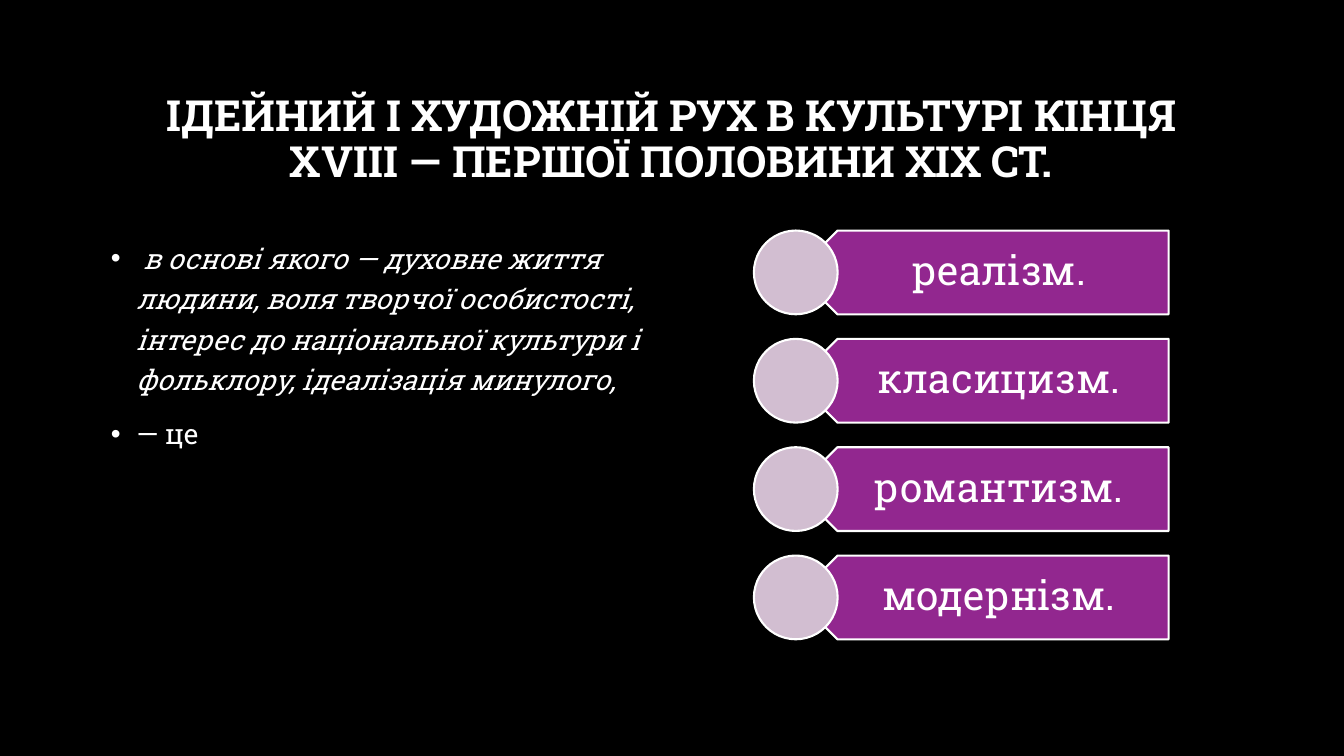
import dataclasses

import lxml.etree
import pptx
import pptx.dml.color
import pptx.enum.shapes
import pptx.enum.text
import pptx.oxml.ns
import pptx.util

Cm = pptx.util.Cm
Pt = pptx.util.Pt
RGB = pptx.dml.color.RGBColor
SHAPE = pptx.enum.shapes.MSO_SHAPE
ANCHOR = pptx.enum.text.MSO_ANCHOR
ALIGN = pptx.enum.text.PP_ALIGN


@dataclasses.dataclass(frozen=True)
class Theme:
    font: str = "Roboto Slab"
    background: RGB = RGB(0x00, 0x00, 0x00)
    text: RGB = RGB(0xFF, 0xFF, 0xFF)
    arrow: RGB = RGB(0x92, 0x27, 0x8F)
    circle: RGB = RGB(0xD2, 0xBE, 0xD1)
    title_size: float = 30.6
    body_size: float = 20
    label_size: float = 29
    line_width: float = 1.5


@dataclasses.dataclass(frozen=True)
class Box:
    left: float
    top: float
    width: float
    height: float

    def lengths(self) -> tuple:
        return Cm(self.left), Cm(self.top), Cm(self.width), Cm(self.height)


@dataclasses.dataclass(frozen=True)
class Bullet:
    text: str
    italic: bool
    space_before: float


THEME = Theme()
TITLE = "ІДЕЙНИЙ І ХУДОЖНІЙ РУХ В КУЛЬТУРІ КІНЦЯ XVIII — ПЕРШОЇ ПОЛОВИНИ ХІХ СТ."
TITLE_BOX = Box(2.54, 1.7, 28.75, 3.68)
BODY_BOX = Box(2.54, 5.79, 14.17, 10.29)
BULLETS = [
    Bullet(
        " в основі якого — духовне життя людини, воля творчої особистості, "
        "інтерес до національної культури і фольклору, ідеалізація минулого,",
        True, 0),
    Bullet("— це", False, 10),
]
STYLES = ["реалізм.", "класицизм.", "романтизм.", "модернізм."]
ROW_TOP = 5.81
ROW_PITCH = 2.73
ROW_HEIGHT = 2.11


def add_run(p, text: str, size: float, bold: bool = False, italic: bool = False) -> None:
    r = p.add_run()
    r.text = text
    r.font.name = THEME.font
    r.font.size = Pt(size)
    r.font.bold = bold
    r.font.italic = italic
    r.font.color.rgb = THEME.text


def place(sp, box: Box) -> None:
    sp.left, sp.top, sp.width, sp.height = box.lengths()


def set_bullet(p) -> None:
    pPr = p._p.get_or_add_pPr()
    pPr.set("marL", str(Cm(0.64)))
    pPr.set("indent", str(-Cm(0.64)))
    qn = pptx.oxml.ns.qn
    lxml.etree.SubElement(pPr, qn("a:buFont")).set("typeface", "Arial")
    lxml.etree.SubElement(pPr, qn("a:buChar")).set("char", "•")


def fill_title(sp) -> None:
    place(sp, TITLE_BOX)
    tf = sp.text_frame
    tf.word_wrap = True
    tf.auto_size = pptx.enum.text.MSO_AUTO_SIZE.NONE
    tf.vertical_anchor = ANCHOR.MIDDLE
    p = tf.paragraphs[0]
    p.alignment = ALIGN.CENTER
    p.line_spacing = 0.9
    add_run(p, TITLE, THEME.title_size, bold=True)


def fill_body(sp) -> None:
    place(sp, BODY_BOX)
    tf = sp.text_frame
    tf.word_wrap = True
    tf.auto_size = pptx.enum.text.MSO_AUTO_SIZE.NONE
    tf.vertical_anchor = ANCHOR.TOP
    for i, bullet in enumerate(BULLETS):
        p = tf.add_paragraph() if i else tf.paragraphs[0]
        set_bullet(p)
        p.alignment = ALIGN.LEFT
        p.line_spacing = 1.2
        p.space_before = Pt(bullet.space_before)
        add_run(p, bullet.text, THEME.body_size, italic=bullet.italic)


def add_outlined(shapes, kind: SHAPE, box: Box, color: RGB):
    sp = shapes.add_shape(kind, *box.lengths())
    sp.shadow.inherit = False
    sp.fill.solid()
    sp.fill.fore_color.rgb = color
    sp.line.color.rgb = THEME.text
    sp.line.width = Pt(THEME.line_width)
    return sp


def add_label(shapes, text: str, box: Box) -> None:
    tf = shapes.add_textbox(*box.lengths()).text_frame
    tf.word_wrap = True
    tf.vertical_anchor = ANCHOR.MIDDLE
    tf.margin_left, tf.margin_right = Cm(0.92), Cm(0.58)
    tf.margin_top = tf.margin_bottom = Cm(0.3)
    p = tf.paragraphs[0]
    p.alignment = ALIGN.CENTER
    p.line_spacing = 0.9
    add_run(p, text, THEME.label_size)


def add_style_row(shapes, text: str, top: float) -> None:
    arrow = add_outlined(shapes, SHAPE.PENTAGON, Box(20.05, top, 9.4, ROW_HEIGHT), THEME.arrow)
    arrow.rotation = 180
    add_label(shapes, text, Box(20.57, top, 8.88, ROW_HEIGHT))
    add_outlined(shapes, SHAPE.OVAL, Box(19, top, ROW_HEIGHT, ROW_HEIGHT), THEME.circle)


def main() -> None:
    prs = pptx.Presentation()
    prs.slide_width, prs.slide_height = Cm(33.87), Cm(19.05)
    s = prs.slides.add_slide(prs.slide_layouts[1])
    s.background.fill.solid()
    s.background.fill.fore_color.rgb = THEME.background
    fill_title(s.shapes.title)
    fill_body(s.placeholders[1])
    group = s.shapes.add_group_shape()
    for i, text in enumerate(STYLES):
        add_style_row(group.shapes, text, ROW_TOP + i * ROW_PITCH)
    prs.save("out.pptx")


if __name__ == "__main__":
    main()
